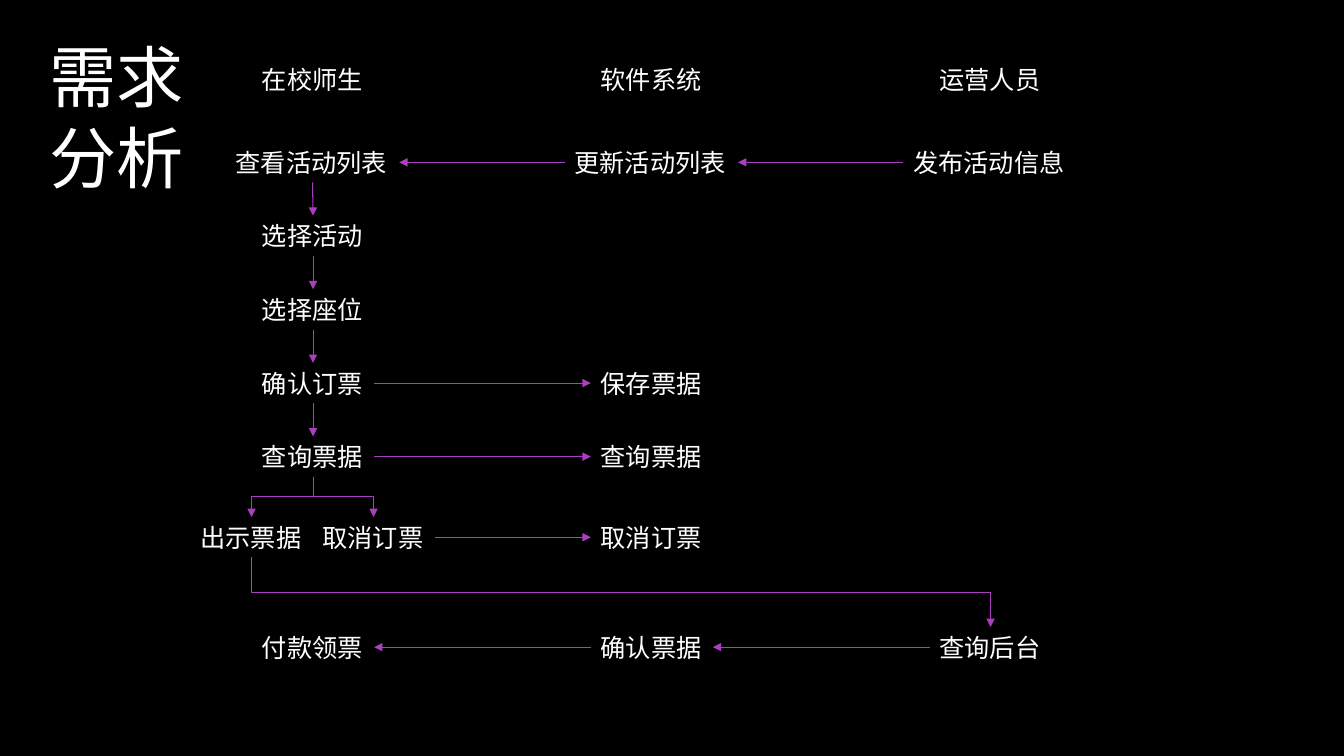
import pptx
import pptx.dml.color
import pptx.enum.shapes
import pptx.enum.text
import pptx.oxml
import pptx.oxml.ns
import pptx.util

SCALE = 9144  # EMU in one px, 100 px to the inch
HUES = {"back": "000000", "text": "FFFFFF", "line": "AC3EC1"}
TOP, LEFT, BOTTOM, RIGHT = range(4)  # connection sites of a box


def px(num):
    return pptx.util.Emu(round(num * SCALE))


def hue(name):
    return pptx.dml.color.RGBColor.from_string(HUES[name])


class Chart:
    font = "Calibri"

    def __init__(self, deck):
        self.slide = deck.slides.add_slide(deck.slide_layouts[6])
        fill = self.slide.background.fill
        fill.solid()
        fill.fore_color.rgb = hue("back")

    def text(self, words, x, y, w, h, size, wrap=False):
        box = self.slide.shapes.add_textbox(px(x), px(y), px(w), px(h))
        frame = box.text_frame
        frame.text = words
        frame.word_wrap = wrap
        frame.auto_size = pptx.enum.text.MSO_AUTO_SIZE.SHAPE_TO_FIT_TEXT
        font = frame.paragraphs[0].runs[0].font
        font.name = self.font
        font.size = pptx.util.Pt(size)
        font.color.rgb = hue("text")
        return box

    def step(self, words, mid, y):
        """Place a flow step centred on the x position mid."""
        wide = 172 if len(words) > 4 else 121
        return self.text(words, mid - wide // 2, y, wide, 40, 18)

    def arrow(self, start, end, kind="STRAIGHT"):
        """Glue an arrow to the facing sides of two boxes."""
        if start.top + start.height < end.top:
            sites = BOTTOM, TOP
        elif start.left < end.left:
            sites = RIGHT, LEFT
        else:
            sites = LEFT, RIGHT
        form = pptx.enum.shapes.MSO_CONNECTOR[kind]
        line = self.slide.shapes.add_connector(form, 0, 0, 0, 0)
        line.begin_connect(start, sites[0])
        line.end_connect(end, sites[1])
        line.line.color.rgb = hue("line")
        line.line.width = pptx.util.Pt(0.75)
        props = line._element.spPr
        space = pptx.oxml.ns.nsdecls("a")
        props.find(pptx.oxml.ns.qn("a:ln")).append(
            pptx.oxml.parse_xml(f'<a:tailEnd {space} type="triangle"/>'))
        props.append(pptx.oxml.parse_xml(f"<a:effectLst {space}/>"))
        return line

    def elbow(self, start, end):
        """Draw an arrow that runs down, across and down again."""
        line = self.arrow(start, end, "ELBOW")
        x, y, w, h = line.left, line.top, line.width, line.height
        right = line.begin_x < line.end_x
        line.left, line.top = x + (w - h) // 2, y + (h - w) // 2
        line.width, line.height = h, w
        frame = line._element.spPr.find(pptx.oxml.ns.qn("a:xfrm"))
        frame.set("rot", "16200000" if right else "5400000")
        frame.set("flipH", "1" if right else "0")


def main():
    deck = pptx.Presentation()
    deck.slide_width, deck.slide_height = px(1333), px(750)
    chart = Chart(deck)
    chart.text("需求分析", 39, 30, 186, 172, 48, wrap=True)

    user, system, staff = 310, 646, 982
    rows = [141 + 73 * i for i in range(5)]
    split, last = 513, 622

    for words, mid in (("在校师生", user), ("软件系统", system), ("运营人员", staff)):
        chart.step(words, mid, 59)

    tasks = ("查看活动列表", "选择活动", "选择座位", "确认订票", "查询票据")
    steps = [chart.step(words, user, y) for words, y in zip(tasks, rows)]
    show = chart.step("出示票据", user - 61, split)
    cancel = chart.step("取消订票", user + 60, split)
    pay = chart.step("付款领票", user, last)

    update = chart.step("更新活动列表", system, rows[0])
    save = chart.step("保存票据", system, rows[3])
    query = chart.step("查询票据", system, rows[4])
    drop = chart.step("取消订票", system, split)
    check = chart.step("确认票据", system, last)

    issue = chart.step("发布活动信息", staff, rows[0])
    admin = chart.step("查询后台", staff, last)

    links = [(issue, update), (update, steps[0]), *zip(steps, steps[1:]),
             (steps[3], save), (steps[4], query), (cancel, drop),
             (admin, check), (check, pay)]
    for start, end in links:
        chart.arrow(start, end)
    for start, end in ((steps[4], show), (steps[4], cancel), (show, admin)):
        chart.elbow(start, end)

    deck.save("out.pptx")


if __name__ == "__main__":
    main()
